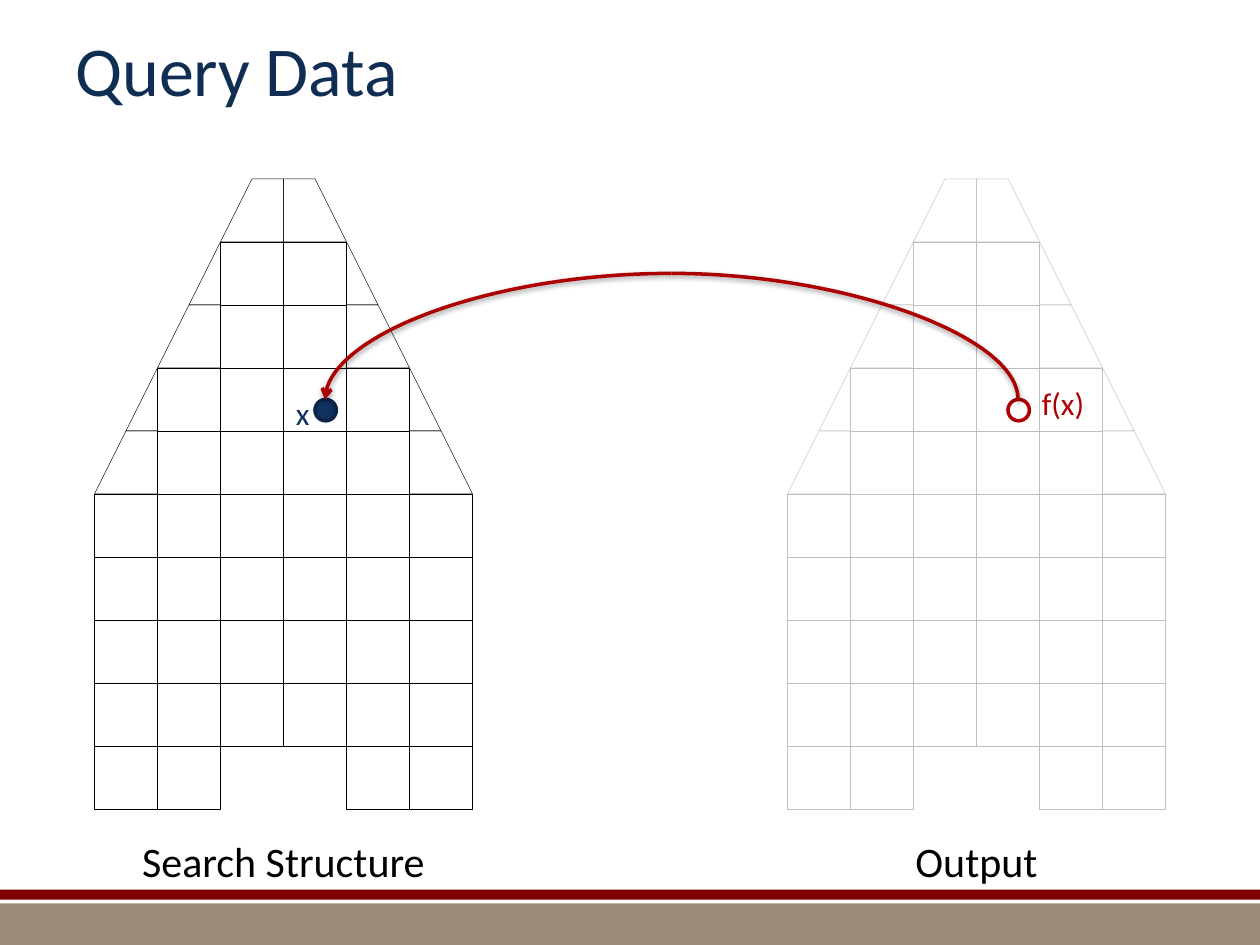
import pptx
import pptx.util
import pptx.dml.color
import pptx.enum.shapes
import pptx.enum.text
import pptx.oxml
import pptx.oxml.ns

Inch = pptx.util.Inches
Pt = pptx.util.Pt
Kind = pptx.enum.shapes.MSO_SHAPE
Align = pptx.enum.text.PP_ALIGN
Anchor = pptx.enum.text.MSO_ANCHOR

HUE = {
    "tan": "9E8C78", "maroon": "800000", "title": "102E54",
    "black": "000000", "gray": "BFBFBF", "white": "FFFFFF",
    "red": "AD0101", "navy": "103160", "rim": "0C2447",
}
WIDE, HIGH = 10, 7.5
CELL = WIDE / 20
TOP = 1.42
ROWS, COLS = 10, 3  # columns are counted outward from the middle
NOTCH = (9, 0)
DOT = 0.17
DOT_Y = 3.17
ARC_Y = 2.17

# left, top, width, height, hue
BANDS = [(0, 7.17, WIDE, 0.33, "tan"), (0, 7.06, WIDE, 0.08, "maroon")]
# middle, hue
GRIDS = [(2.25, "black"), (7.75, "gray")]
# text, left, top, width, height, size, hue, align
TITLE = ("Query Data", 0.5, 0, 9, 1.08, 40, "title", Align.LEFT)
NAMES = [
    ("Search Structure", 1.01, 6.58, 2.48, 0.5, 24, "black", Align.CENTER),
    ("Output", 7.16, 6.58, 1.18, 0.5, 24, "black", Align.CENTER),
]
MARKS = [
    ("x", 2.25, 3.08, 0.31, 0.4, 18, "navy", Align.LEFT),
    ("f(x)", 8.17, 3, 0.54, 0.4, 18, "red", Align.LEFT),
]
# left, fill, line
DOTS = [(8, "white", "red"), (2.5, "navy", "rim")]
# end of each half of the arc, arrowhead
ENDS = [(8.08, False), (2.58, True)]

SHADE = (
    '<a:effectLst %s><a:outerShdw blurRad="39370" dist="20320" dir="5400000" '
    'rotWithShape="0"><a:srgbClr val="000000"><a:alpha val="38000"/>'
    "</a:srgbClr></a:outerShdw></a:effectLst>" % pptx.oxml.ns.nsdecls("a")
)
ARROW = '<a:tailEnd %s type="arrow"/>' % pptx.oxml.ns.nsdecls("a")


def tint(hue):
    return pptx.dml.color.RGBColor.from_string(HUE[hue])


def paint(shape, fill=None, line=None, width=0.25):
    shape.shadow.inherit = False
    if fill:
        shape.fill.solid()
        shape.fill.fore_color.rgb = tint(fill)
    else:
        shape.fill.background()
    if line:
        shape.line.color.rgb = tint(line)
        shape.line.width = Pt(width)
    else:
        shape.line.fill.background()


def add(shapes, kind, *box):
    return shapes.add_shape(kind, *map(Inch, box))


def write(slide, text, x, y, w, h, size, hue, align, wrap=False):
    frame = slide.shapes.add_textbox(*map(Inch, (x, y, w, h))).text_frame
    frame.word_wrap = wrap
    frame.vertical_anchor = Anchor.MIDDLE if wrap else Anchor.TOP
    para = frame.paragraphs[0]
    para.text = text
    para.alignment = align
    para.font.name = "Calibri"
    para.font.size = Pt(size)
    para.font.color.rgb = tint(hue)


def reach(row, col):
    """Share of a column that lies inside the slanted edge at a row's top."""
    return min(1, max(0, (row + 1) / 2 - col))


def draw_grid(slide, mid, hue):
    shapes = slide.shapes.add_group_shape().shapes
    for side in (1, -1):
        for col in range(COLS):
            for row in range(ROWS):
                near, far = reach(row, col), reach(row + 1, col)
                if far == 0 or (row, col) == NOTCH:
                    continue
                x, y = mid + side * col * CELL, TOP + row * CELL
                if near == 1:
                    left = min(x, x + side * CELL)
                    cell = add(shapes, Kind.RECTANGLE, left, y, CELL, CELL)
                else:
                    edge = [(x, y + CELL), (x + side * far * CELL, y + CELL)]
                    if near:
                        edge.append((x + side * near * CELL, y))
                    pen = shapes.build_freeform(Inch(x), Inch(y))
                    pen.add_line_segments([(Inch(a), Inch(b)) for a, b in edge])
                    cell = pen.convert_to_shape()
                paint(cell, line=hue)


def draw_arc(slide):
    shapes = slide.shapes.add_group_shape().shapes
    peak = sum(x for x, _ in ENDS) / 2
    for x, head in ENDS:
        arc = shapes.add_connector(
            pptx.enum.shapes.MSO_CONNECTOR.CURVE,
            *map(Inch, (peak, ARC_Y, x, DOT_Y)))
        arc.line.color.rgb = tint("red")
        arc.line.width = Pt(2)
        props = arc._element.spPr
        props.find(pptx.oxml.ns.qn("a:prstGeom")).set("prst", "curvedConnector2")
        if head:
            arc.line._get_or_add_ln().append(pptx.oxml.parse_xml(ARROW))
        props.append(pptx.oxml.parse_xml(SHADE))


def main():
    deck = pptx.Presentation()
    deck.slide_width, deck.slide_height = Inch(WIDE), Inch(HIGH)
    slide = deck.slides.add_slide(deck.slide_layouts[6])
    for *box, hue in BANDS:
        paint(add(slide.shapes, Kind.RECTANGLE, *box), hue)
    write(slide, *TITLE, wrap=True)
    for mid, hue in GRIDS:
        draw_grid(slide, mid, hue)
    for name in NAMES:
        write(slide, *name)
    for x, fill, line in DOTS:
        dot = add(slide.shapes, Kind.OVAL, x, DOT_Y, DOT, DOT)
        paint(dot, fill, line, 2)
    draw_arc(slide)
    for mark in MARKS:
        write(slide, *mark)
    deck.save("out.pptx")


if __name__ == "__main__":
    main()
